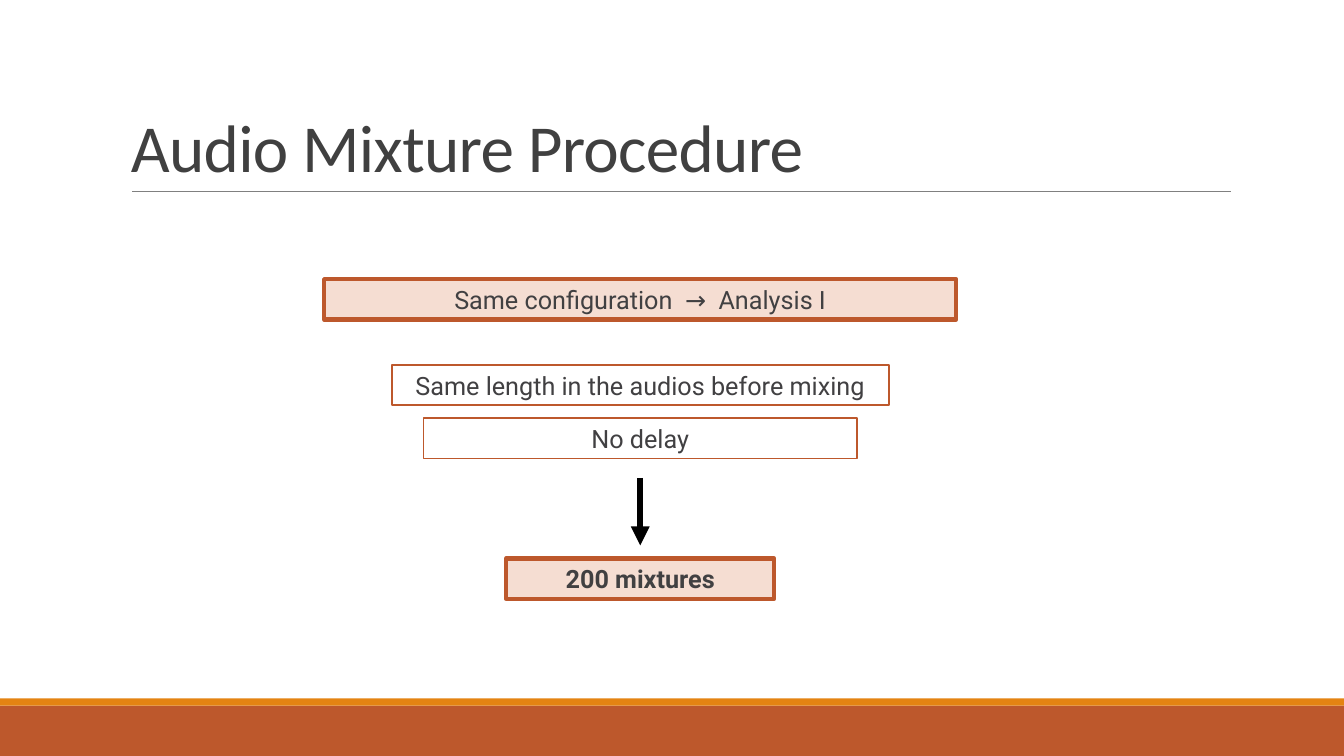
from lxml.etree import SubElement
from pptx import Presentation
from pptx.dml.color import RGBColor
from pptx.enum.shapes import MSO_CONNECTOR, MSO_SHAPE
from pptx.enum.text import MSO_ANCHOR, PP_ALIGN
from pptx.oxml.ns import qn
from pptx.util import Inches, Pt

COLORS = {
    "rust": "BD582C",
    "orange": "E48312",
    "peach": "F5DDD2",
    "white": "FFFFFF",
    "rule": "808080",
    "title": "404040",
    "text": "414042",
    "arrow": "000000",
}
CENTER = 6.35
BOX_HEIGHT = 0.4


def add_rectangle(left, top, width, height, fill):
    shape = page.shapes.add_shape(
        MSO_SHAPE.RECTANGLE, Inches(left), Inches(top), Inches(width), Inches(height))
    shape.shadow.inherit = False
    shape.fill.solid()
    shape.fill.fore_color.rgb = RGBColor.from_string(COLORS[fill])
    shape.line.fill.background()
    return shape


def add_line(start_x, start_y, end_x, end_y, color, weight):
    connector = page.shapes.add_connector(
        MSO_CONNECTOR.STRAIGHT,
        Inches(start_x), Inches(start_y), Inches(end_x), Inches(end_y))
    connector.line.color.rgb = RGBColor.from_string(COLORS[color])
    connector.line.width = Pt(weight)
    SubElement(connector._element.spPr, qn("a:effectLst"))
    return connector


deck = Presentation()
deck.slide_width = Inches(13.33)
deck.slide_height = Inches(7.5)
page = deck.slides.add_slide(deck.slide_layouts[6])

# Footer bands and title rule
add_rectangle(0, 7, 13.33, 0.5, "rust")
add_rectangle(0, 6.93, 13.33, 0.07, "orange")
add_line(1.31, 1.9, 12.21, 1.9, "rule", 0.5)

# Title
title = page.shapes.add_textbox(Inches(1.2), Inches(0.31), Inches(11), Inches(1.59))
title.text_frame.word_wrap = True
title.text_frame.vertical_anchor = MSO_ANCHOR.BOTTOM
para = title.text_frame.paragraphs[0]
para.line_spacing = 0.85
para.font.size = Pt(48)
para.font.name = "Calibri"
para.font.color.rgb = RGBColor.from_string(COLORS["title"])
span = para.add_run()
span.text = "Audio Mixture Procedure"
span.font._element.set("spc", "-50")

# Procedure boxes, all centred on one axis: text, top, width, emphasised, bold
steps = [
    ("Same configuration  →  Analysis I", 2.77, 6.27, True, False),
    ("Same length in the audios before mixing", 3.62, 4.93, False, False),
    ("No delay", 4.15, 4.3, False, False),
    ("200 mixtures", 5.54, 2.66, True, True),
]
for text, top, width, emphasised, bold in steps:
    box = add_rectangle(CENTER - width / 2, top, width, BOX_HEIGHT,
                        "peach" if emphasised else "white")
    box.line.color.rgb = RGBColor.from_string(COLORS["rust"])
    box.line.width = Pt(3 if emphasised else 1.25)
    box.text_frame.word_wrap = True
    box.text_frame.vertical_anchor = MSO_ANCHOR.TOP
    para = box.text_frame.paragraphs[0]
    para.text = text
    para.alignment = PP_ALIGN.CENTER
    para.font.size = Pt(18)
    para.font.name = "Roboto"
    para.font.bold = bold
    para.font.color.rgb = RGBColor.from_string(COLORS["text"])

# Arrow to the result
arrow = add_line(CENTER, 4.74, CENTER, 5.41, "arrow", 4.5)
SubElement(arrow.line._get_or_add_ln(), qn("a:tailEnd"), type="triangle")

deck.save("out.pptx")
